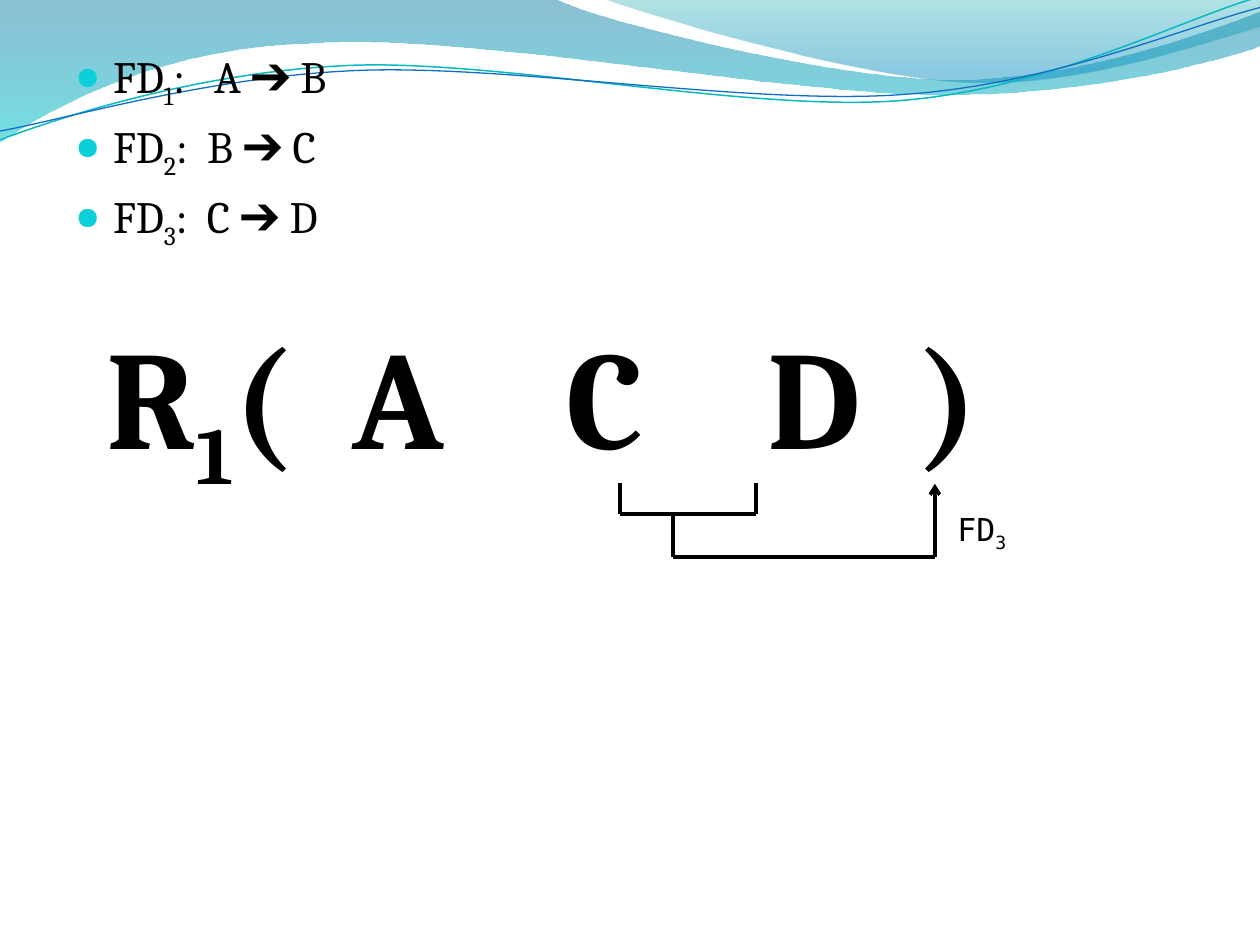
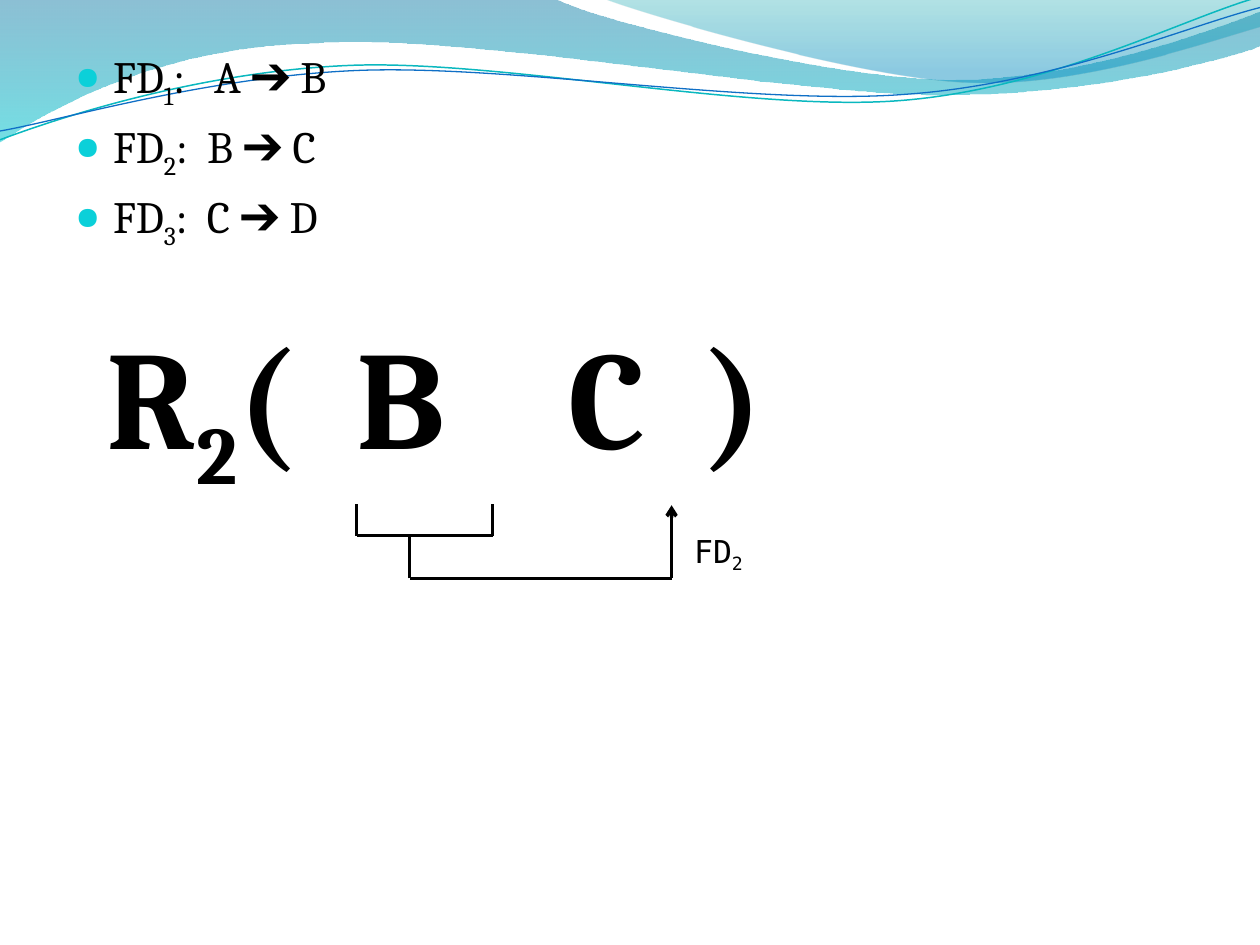
from lxml import etree
from pptx import Presentation
from pptx.dml.color import RGBColor
from pptx.enum.shapes import MSO_CONNECTOR
from pptx.oxml.ns import qn
from pptx.util import Inches, Pt

STRAIGHT = MSO_CONNECTOR.STRAIGHT
SERIF, MONO = "Cambria", "DejaVu Sans Mono"
INK, DOT = "000000", "0BD0D9"

# Each path is a start point, then line ends (2 numbers) or Bezier curves (6)
BANDS = [
    ([(0, 0), (4.4, -0.01), (4.76, 0.17, 6.64, 0.63, 7.58, 0.63),
      (8.53, 0.63, 9.58, 0.26, 10, 0.09), (10.01, 0.36),
      (9.83, 0.44, 8.7, 0.76, 7.46, 0.75), (6.22, 0.75, 3.82, 0.28, 2.57, 0.34),
      (1.29, 0.36, 0.46, 0.83, -0.01, 1.13), (0, 0)],
     [(0, "0074A1", 45), (1, "00C6CF", 55)]),
    ([(4.79, -0.01), (5.09, 0.11, 6.82, 0.62, 7.69, 0.65),
      (8.56, 0.69, 9.61, 0.32, 10, 0.21), (10, 0), (4.79, -0.01)],
     [(0, "00A1A9", 30), (0.8, "008BBF", 45)]),
]
WAVES = [
    ([(0, 1.11), (0.48, 0.93, 1.58, 0.57, 2.77, 0.52),
      (3.95, 0.47, 5.93, 0.89, 7.13, 0.8), (8.33, 0.71, 9.38, 0.15, 9.98, -0.02)],
     "0AB8BF", 0.85),
    ([(0, 1.04), (0.47, 0.96, 1.64, 0.61, 2.83, 0.56),
      (4.03, 0.51, 5.97, 0.84, 7.17, 0.75), (8.36, 0.67, 9.41, 0.21, 10, 0.06)],
     "0F6FC6", 0.75),
]
RULES = [("1", ":   A ➔ B"), ("2", ":  B ➔ C"), ("3", ":  C ➔ D")]

# Relation number, its attributes, box width, dependency number, bracket corner
SLIDES = [
    ("1", "(  A    C    D  )", 8.27, "3", 4.92, 4.08),
    ("2", "(  B    C  )", 6.29, "2", 2.83, 4.25),
]
# Bracket, stem and arrow as offsets from the bracket corner; the last is the arrow
LINKS = [
    (0, 0, 1.08, 0), (0, 0, 0, -0.25), (1.08, 0, 1.08, -0.25),
    (0.42, 0.34, 0.42, 0), (0.42, 0.34, 2.5, 0.34), (2.5, 0.34, 2.5, -0.24),
]

hue = RGBColor.from_string


def trace(slide, path, close):
    """Draw a path as a freeform, joining three points into each curve."""
    x, y = path[0]
    pen = slide.shapes.build_freeform(Inches(x), Inches(y))
    dots = [(Inches(part[i]), Inches(part[i + 1]))
            for part in path[1:] for i in range(0, len(part), 2)]
    pen.add_line_segments(dots, close=close)
    shape = pen.convert_to_shape()
    shape.shadow.inherit = False
    lines = iter(list(shape._element.iter(qn("a:lnTo"))))
    for part in path[1:]:
        line = next(lines)
        if len(part) == 6:
            line.addprevious(curve := etree.Element(qn("a:cubicBezTo")))
            for node in (line, next(lines), next(lines)):
                curve.append(node[0])
                node.getparent().remove(node)
    return shape


def write(para, parts, font, size, bold=False):
    """Add runs to a paragraph; the second one is a subscript."""
    for i, text in enumerate(parts):
        run = para.add_run()
        run.text = text
        run.font.name = font
        run.font.size = Pt(size)
        run.font.bold = bold
        run.font.color.rgb = hue(INK)
        if i == 1:
            run.font._element.set("baseline", "-25000")


deck = Presentation()
deck.slide_width, deck.slide_height = Inches(10), Inches(7.5)

for num, attrs, width, rule, left, top in SLIDES:
    slide = deck.slides.add_slide(deck.slide_layouts[6])

    # Top bands and waves
    for path, stops in BANDS:
        band = trace(slide, path, True)
        band.line.fill.background()
        band.fill.gradient()
        band.fill.gradient_angle = 270
        for stop, (place, tint, _) in zip(band.fill.gradient_stops, stops):
            stop.position = place
            stop.color.rgb = hue(tint)
        tints = band._element.spPr.iter(qn("a:srgbClr"))
        for node, (_, _, alpha) in zip(list(tints), stops):
            etree.SubElement(node, qn("a:alpha"), val=str(alpha * 1000))
    for path, tint, thick in WAVES:
        wave = trace(slide, path, False)
        wave.fill.background()
        wave.line.color.rgb = hue(tint)
        wave.line.width = Pt(thick)

    # Dependency list
    frame = slide.shapes.add_textbox(
        Inches(0.5), Inches(0.34), Inches(9), Inches(2.08)).text_frame
    frame.word_wrap = True
    for i, (sub, text) in enumerate(RULES):
        para = frame.add_paragraph() if i else frame.paragraphs[0]
        para.space_before = Pt(5.1)
        props = para._p.get_or_add_pPr()
        props.set("marL", str(Inches(0.3)))
        props.set("indent", str(Inches(-0.3)))
        tone = etree.SubElement(props, qn("a:buClr"))
        etree.SubElement(tone, qn("a:srgbClr"), val=DOT)
        etree.SubElement(props, qn("a:buSzPct"), val="70000")
        etree.SubElement(props, qn("a:buChar"), char="●")
        write(para, ("FD", sub, text), SERIF, 25.6)

    # Relation
    frame = slide.shapes.add_textbox(
        Inches(0.75), Inches(2.41), Inches(width), Inches(1.45)).text_frame
    frame.word_wrap = False
    write(frame.paragraphs[0], ("R", num, attrs), SERIF, 80, True)

    # Dependency arrow and its label
    for x1, y1, x2, y2 in LINKS:
        link = slide.shapes.add_connector(
            STRAIGHT, Inches(left + x1), Inches(top + y1),
            Inches(left + x2), Inches(top + y2))
        link.line.color.rgb = hue(INK)
        link.line.width = Pt(2)
        etree.SubElement(link._element.spPr, qn("a:effectLst"))
    etree.SubElement(link.line._get_or_add_ln(), qn("a:tailEnd"), type="arrow")
    frame = slide.shapes.add_textbox(
        Inches(left + 2.58), Inches(top - 0.08), Inches(0.92), Inches(0.4)).text_frame
    frame.word_wrap = True
    write(frame.paragraphs[0], ("FD", rule), MONO, 18)

deck.save("out.pptx")
